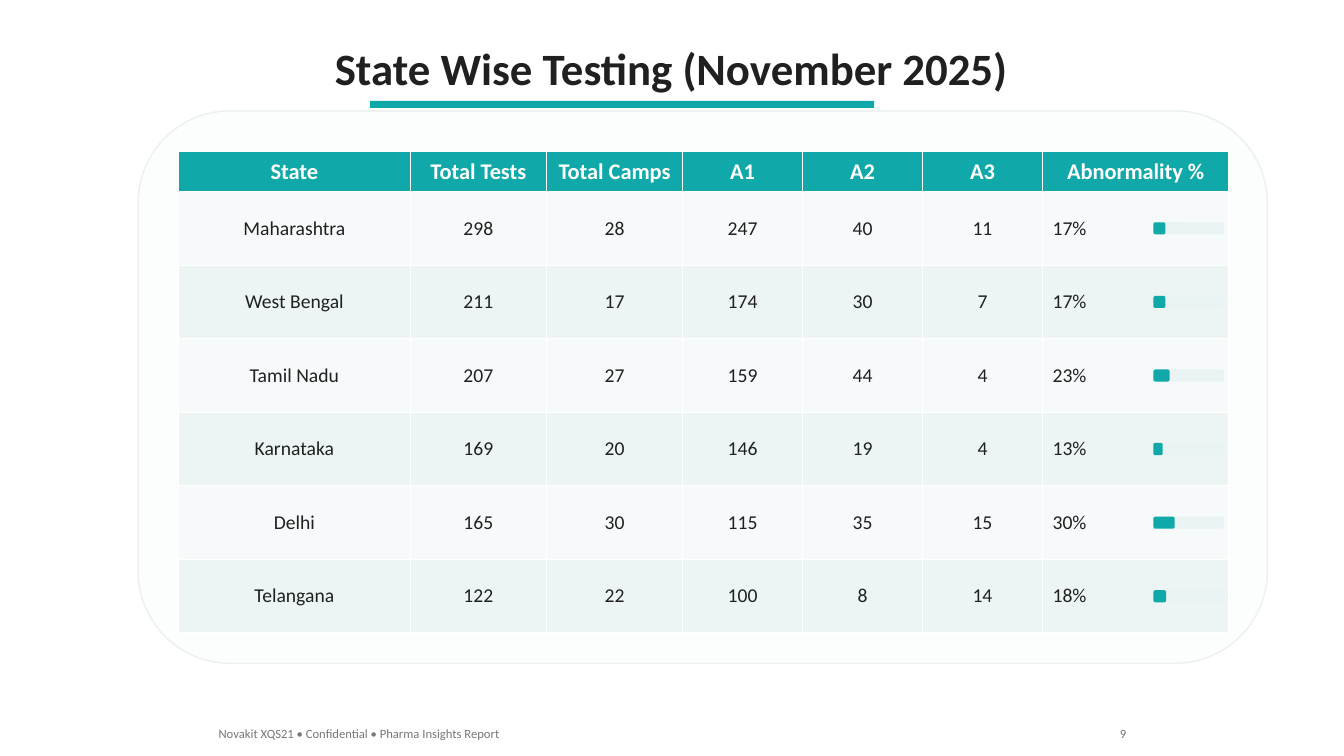
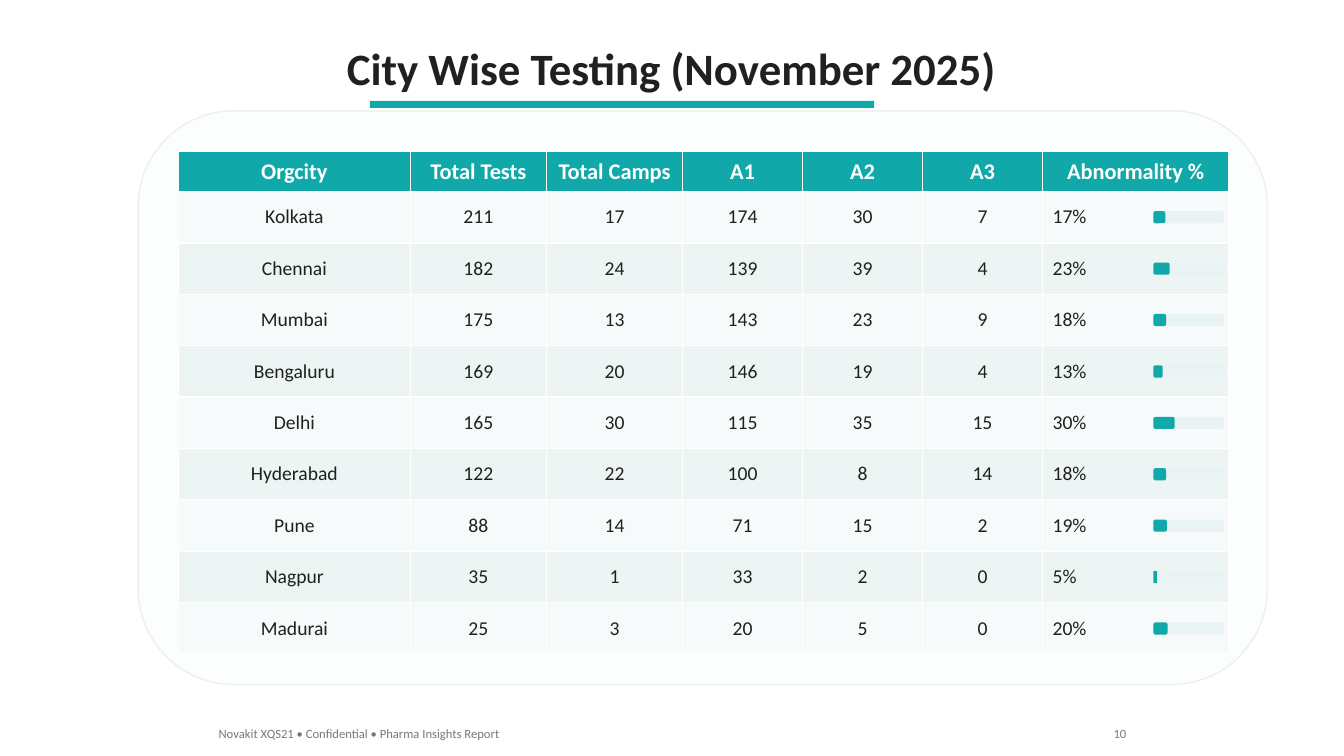
from pptx import Presentation
from pptx.dml.color import RGBColor
from pptx.enum.shapes import MSO_SHAPE
from pptx.enum.text import MSO_ANCHOR, MSO_AUTO_SIZE, PP_ALIGN
from pptx.util import Pt

RECT, ROUND = MSO_SHAPE.RECTANGLE, MSO_SHAPE.ROUNDED_RECTANGLE
LEFT, CENTER, RIGHT = PP_ALIGN.LEFT, PP_ALIGN.CENTER, PP_ALIGN.RIGHT
TOP, MIDDLE = MSO_ANCHOR.TOP, MSO_ANCHOR.MIDDLE

FONT = "Calibri"
TEAL = RGBColor(0x10, 0xA8, 0xA8)
INK = RGBColor(0x20, 0x20, 0x20)
GREY = RGBColor(0x78, 0x78, 0x78)
WHITE = RGBColor(0xFF, 0xFF, 0xFF)
PANEL = RGBColor(0xFC, 0xFD, 0xFD)
PANEL_LINE = RGBColor(0xEB, 0xF0, 0xF0)
TRACK = RGBColor(0xEA, 0xF3, 0xF3)
BANDS = [RGBColor(0xF6, 0xFA, 0xFA), RGBColor(0xEC, 0xF4, 0xF4)]

# Content: rows hold name, tests, camps, A1, A2, A3, abnormality %
FOOTER = "Novakit XQS21 • Confidential • Pharma Insights Report"
FIRST_PAGE = 9
HEADINGS = ["Total Tests", "Total Camps", "A1", "A2", "A3", "Abnormality %"]
REPORTS = [
    {"title": "State Wise Testing (November 2025)", "key": "State", "row_h": 73,
     "rows": [
         ("Maharashtra", 298, 28, 247, 40, 11, 17),
         ("West Bengal", 211, 17, 174, 30, 7, 17),
         ("Tamil Nadu", 207, 27, 159, 44, 4, 23),
         ("Karnataka", 169, 20, 146, 19, 4, 13),
         ("Delhi", 165, 30, 115, 35, 15, 30),
         ("Telangana", 122, 22, 100, 8, 14, 18),
     ]},
    {"title": "City Wise Testing (November 2025)", "key": "Orgcity", "row_h": 51,
     "rows": [
         ("Kolkata", 211, 17, 174, 30, 7, 17),
         ("Chennai", 182, 24, 139, 39, 4, 23),
         ("Mumbai", 175, 13, 143, 23, 9, 18),
         ("Bengaluru", 169, 20, 146, 19, 4, 13),
         ("Delhi", 165, 30, 115, 35, 15, 30),
         ("Hyderabad", 122, 22, 100, 8, 14, 18),
         ("Pune", 88, 14, 71, 15, 2, 19),
         ("Nagpur", 35, 1, 33, 2, 0, 5),
         ("Madurai", 25, 3, 20, 5, 0, 20),
     ]},
]

# Layout in px, 100 to the inch
EMU_PER_PX = 9144
SLIDE_W, SLIDE_H = 1333, 750
TABLE_X, TABLE_Y, HEAD_H = 177, 150, 40
COL_W = [230, 135, 135, 119, 119, 119, 185]
PAD_X, PAD_TOP, PAD_BOTTOM = 40, 40, 30
PANEL_W = 1120
BAR_X, BAR_W, BAR_H = 1144, 70, 12


def px(n):
    return round(n * EMU_PER_PX)


def box(*lengths):
    return [px(n) for n in lengths]


def write(tf, text, size=14, color=INK, bold=False, align=LEFT):
    p = tf.paragraphs[0]
    p.alignment = align
    r = p.add_run()
    r.text = text
    r.font.name, r.font.size, r.font.bold = FONT, Pt(size), bold
    r.font.color.rgb = color


def add_box(s, kind, x, y, w, h, fill, line=None):
    sp = s.shapes.add_shape(kind, *box(x, y, w, h))
    sp.shadow.inherit = False
    sp.fill.solid()
    sp.fill.fore_color.rgb = fill
    if line is None:
        sp.line.fill.background()
    else:
        sp.line.color.rgb = line
        sp.line.width = Pt(1)


def add_label(s, x, y, w, h, text, align=LEFT):
    tf = s.shapes.add_textbox(*box(x, y, w, h)).text_frame
    tf.word_wrap = True
    write(tf, text, size=9, color=GREY, align=align)


def add_title(s, text):
    sp = s.shapes.title
    sp.left, sp.top, sp.width, sp.height = box(166, 35, 1000, 64)
    tf = sp.text_frame
    tf.auto_size, tf.vertical_anchor = MSO_AUTO_SIZE.NONE, TOP
    write(tf, text, size=32, bold=True, align=CENTER)
    add_box(s, RECT, 367, 100, 500, 7, TEAL)


def fill_cell(cell, text, fill, **fmt):
    cell.fill.solid()
    cell.fill.fore_color.rgb = fill
    cell.vertical_anchor = MIDDLE
    write(cell.text_frame, text, **fmt)


def add_results(s, key, rows, row_h):
    table_h = HEAD_H + row_h * len(rows)
    add_box(s, ROUND, TABLE_X - PAD_X, TABLE_Y - PAD_TOP,
            PANEL_W, table_h + PAD_TOP + PAD_BOTTOM, PANEL, PANEL_LINE)
    table = s.shapes.add_table(len(rows) + 1, len(COL_W), *box(
        TABLE_X, TABLE_Y, sum(COL_W), table_h)).table
    for col, w in zip(table.columns, COL_W):
        col.width = px(w)
    table.rows[0].height = px(HEAD_H)
    for c, heading in enumerate([key] + HEADINGS):
        fill_cell(table.cell(0, c), heading, TEAL,
                  size=16, color=WHITE, bold=True, align=CENTER)

    for i, (*values, pct) in enumerate(rows):
        table.rows[i + 1].height = px(row_h)
        band = BANDS[i % 2]
        for c, value in enumerate(values):
            fill_cell(table.cell(i + 1, c), str(value), band, align=CENTER)
        fill_cell(table.cell(i + 1, len(values)), f"{pct}%", band)
        # Progress bar centred in the row
        y = TABLE_Y + HEAD_H + i * row_h + (row_h - BAR_H) / 2
        for w, color in ((BAR_W, TRACK), (BAR_W * pct / 100, TEAL)):
            add_box(s, ROUND, BAR_X, y, w, BAR_H, color)


def main():
    prs = Presentation()
    prs.slide_width, prs.slide_height = box(SLIDE_W, SLIDE_H)
    title_only = prs.slide_layouts[5]
    for page, report in enumerate(REPORTS, FIRST_PAGE):
        s = prs.slides.add_slide(title_only)
        add_title(s, report["title"])
        add_results(s, report["key"], report["rows"], report["row_h"])
        add_label(s, 207, 715, 400, 25, FOOTER)
        add_label(s, 1077, 715, 50, 25, str(page), align=RIGHT)
    prs.save("out.pptx")


if __name__ == "__main__":
    main()
